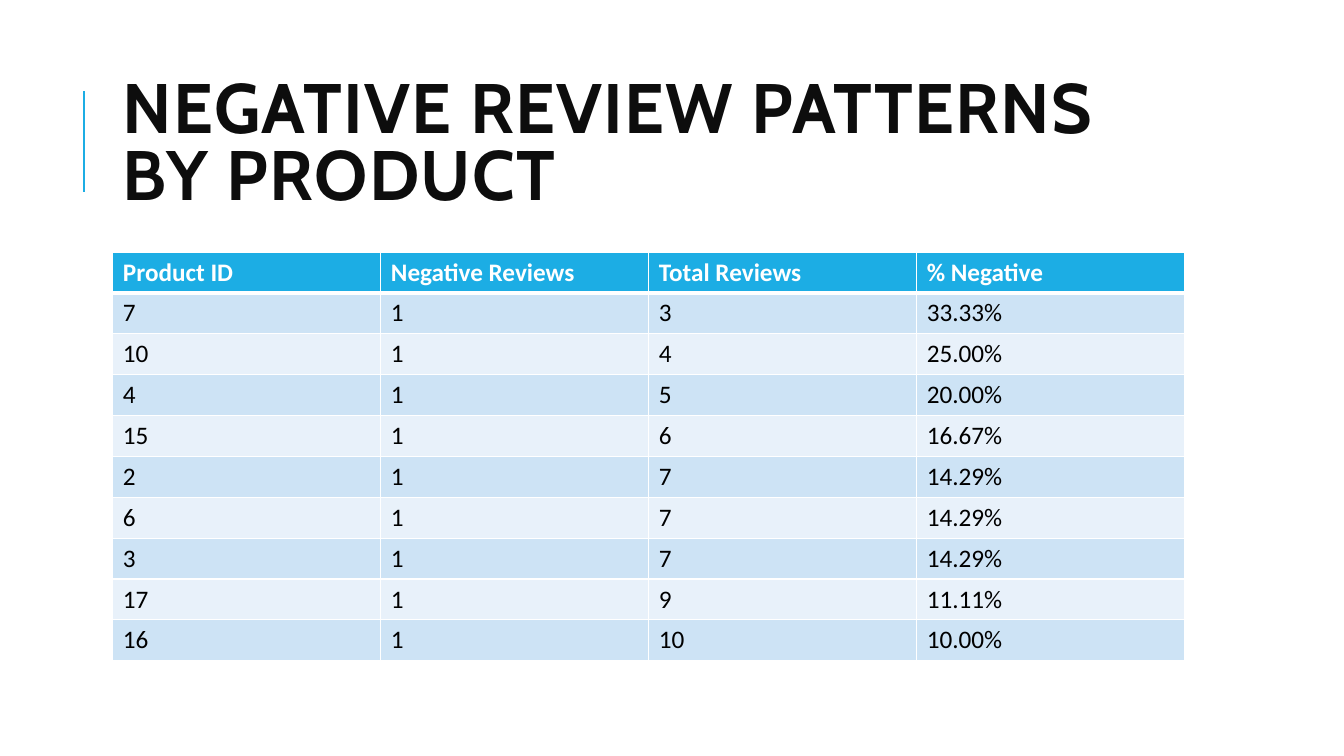
import dataclasses

import pptx
import pptx.dml.color
import pptx.enum.shapes
import pptx.enum.text
import pptx.oxml
import pptx.oxml.ns
import pptx.presentation
import pptx.slide
import pptx.table
import pptx.text.text
import pptx.util

Pt = pptx.util.Pt

COLORS = {
    "accent": "1CADE4",
    "title": "0D0D0D",
    "text": "000000",
    "white": "FFFFFF",
    "band_dark": "CDE3F5",
    "band_light": "E8F1FA",
}
LEFT, WIDTH = 80.64, 765.6
TABLE_TOP, ROW_HEIGHT = 180, 29.2
THIN_BORDER, HEADER_BORDER = 1, 3
HEADERS = ("Product ID", "Negative Reviews", "Total Reviews", "% Negative")


@dataclasses.dataclass(frozen=True)
class ProductReviews:
    product_id: int
    total: int
    negative: int = 1

    def cell_texts(self) -> tuple[str, ...]:
        share = f"{self.negative / self.total:.2%}"
        return str(self.product_id), str(self.negative), str(self.total), share


PRODUCTS = (
    ProductReviews(7, 3),
    ProductReviews(10, 4),
    ProductReviews(4, 5),
    ProductReviews(15, 6),
    ProductReviews(2, 7),
    ProductReviews(6, 7),
    ProductReviews(3, 7),
    ProductReviews(17, 9),
    ProductReviews(16, 10),
)


def rgb(name: str) -> pptx.dml.color.RGBColor:
    return pptx.dml.color.RGBColor.from_string(COLORS[name])


def write_text(
    frame: pptx.text.text.TextFrame,
    text: str,
    *,
    size: float,
    font: str,
    color: str,
    bold: bool = False,
    line_spacing: float = 1.0,
    letter_spacing: float = 0,
) -> None:
    paragraph = frame.paragraphs[0]
    paragraph.line_spacing = line_spacing
    run = paragraph.add_run()
    run.text = text
    run.font.size = Pt(size)
    run.font.name = font
    run.font.bold = bold
    run.font.color.rgb = rgb(color)
    if letter_spacing:
        run.font._element.set("spc", str(round(letter_spacing * 100)))


def add_accent_line(slide: pptx.slide.Slide) -> None:
    line = slide.shapes.add_connector(
        pptx.enum.shapes.MSO_CONNECTOR.STRAIGHT, Pt(60), Pt(136.8), Pt(60), Pt(64.8)
    )
    line.line.color.rgb = rgb("accent")
    line.line.width = Pt(1.5)
    line._element.spPr.append(pptx.oxml.parse_xml(
        f"<a:effectLst {pptx.oxml.ns.nsdecls('a')}/>"
    ))


def add_title(slide: pptx.slide.Slide, text: str) -> None:
    box = slide.shapes.add_textbox(Pt(LEFT), Pt(46), Pt(WIDTH), Pt(118))
    frame = box.text_frame
    frame.word_wrap = True
    frame.vertical_anchor = pptx.enum.text.MSO_ANCHOR.MIDDLE
    write_text(frame, text, size=50, font="Cabin", color="title", bold=True,
               line_spacing=0.8, letter_spacing=1)


def set_borders(cell: pptx.table._Cell, top: float, bottom: float) -> None:
    """Draw white borders; call before filling, as the schema puts lines first."""
    properties = cell._tc.get_or_add_tcPr()
    widths = {"L": THIN_BORDER, "R": THIN_BORDER, "T": top, "B": bottom}
    for side, width in widths.items():
        properties.append(pptx.oxml.parse_xml(
            f"<a:ln{side} {pptx.oxml.ns.nsdecls('a')} w='{Pt(width)}'>"
            f"<a:solidFill><a:srgbClr val='{COLORS['white']}'/></a:solidFill>"
            f"</a:ln{side}>"
        ))


def add_review_table(slide: pptx.slide.Slide) -> None:
    rows = [HEADERS, *(product.cell_texts() for product in PRODUCTS)]
    table = slide.shapes.add_table(
        len(rows), len(HEADERS), Pt(LEFT), Pt(TABLE_TOP),
        Pt(WIDTH), Pt(ROW_HEIGHT * len(rows)),
    ).table
    for row_index, texts in enumerate(rows):
        table.rows[row_index].height = Pt(ROW_HEIGHT)
        is_header = row_index == 0
        band = "band_dark" if row_index % 2 else "band_light"
        for column_index, text in enumerate(texts):
            cell = table.cell(row_index, column_index)
            cell.vertical_anchor = pptx.enum.text.MSO_ANCHOR.MIDDLE
            set_borders(
                cell,
                top=HEADER_BORDER if row_index == 1 else THIN_BORDER,
                bottom=HEADER_BORDER if is_header else THIN_BORDER,
            )
            cell.fill.solid()
            cell.fill.fore_color.rgb = rgb("accent" if is_header else band)
            write_text(cell.text_frame, text, size=18, font="Calibri",
                       color="white" if is_header else "text", bold=is_header)


def main() -> None:
    presentation = pptx.Presentation()
    presentation.slide_width = Pt(960)
    presentation.slide_height = Pt(540)
    slide = presentation.slides.add_slide(presentation.slide_layouts[6])
    add_accent_line(slide)
    add_title(slide, "NEGATIVE REVIEW PATTERNS BY PRODUCT")
    add_review_table(slide)
    presentation.save("out.pptx")


if __name__ == "__main__":
    main()
